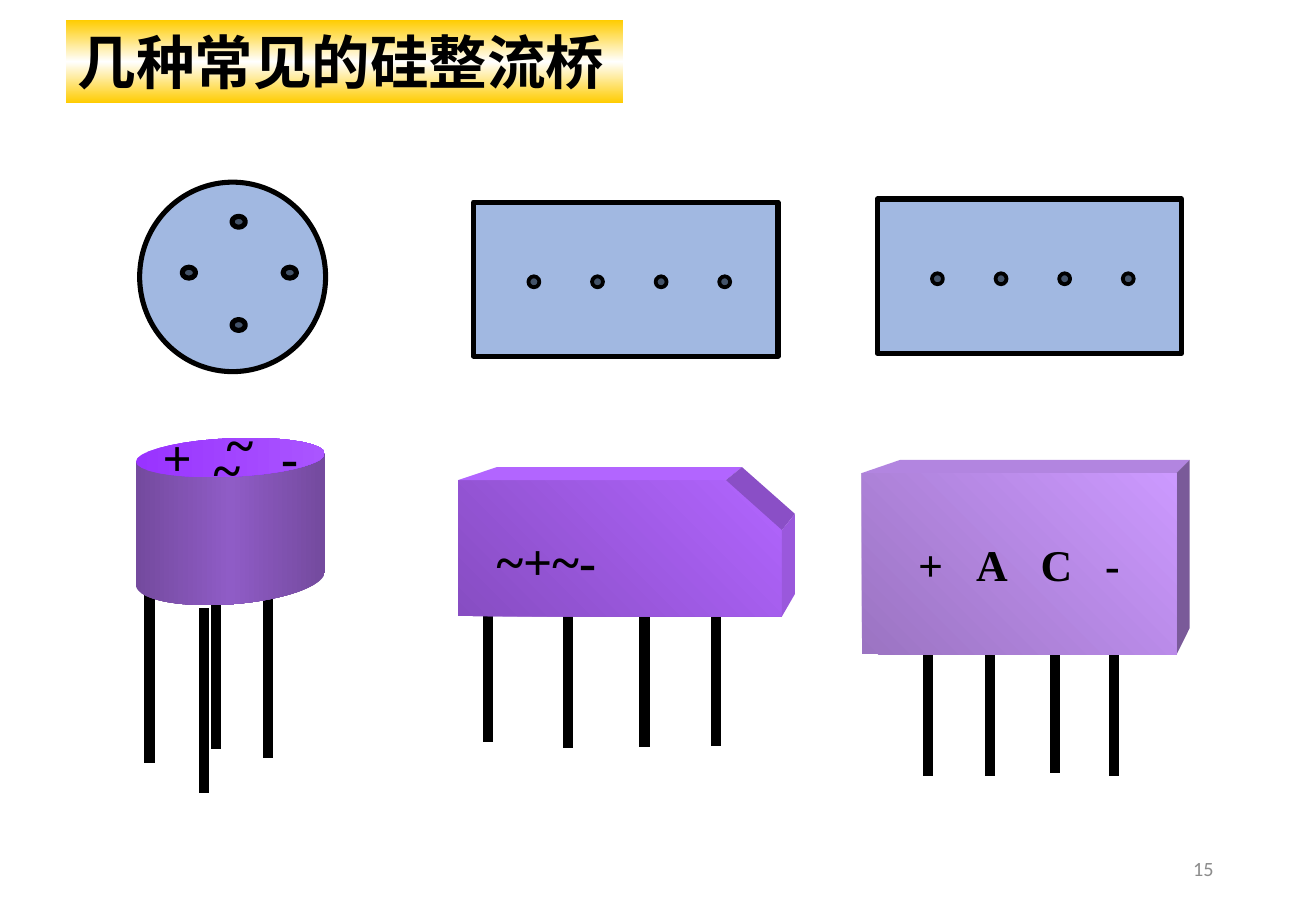
from copy import deepcopy
from dataclasses import dataclass
from math import cos, pi, sin

from lxml.etree import SubElement
from pptx import Presentation
from pptx.dml.color import RGBColor
from pptx.enum.shapes import MSO_CONNECTOR, MSO_SHAPE
from pptx.enum.text import MSO_ANCHOR, PP_ALIGN
from pptx.oxml.ns import qn
from pptx.util import Pt


@dataclass(frozen=True)
class Theme:
    ink: str = "000000"
    gray: str = "8C8C8C"
    case: str = "4472C4"
    pin: str = "44546A"
    gold: tuple = ("FFCC00", "FFFFFF", "FFCC00")
    lid: tuple = ("9933FF", "AA55FF")
    drum: tuple = ("744A9E", "8F5CC6", "744A9E")
    cut: tuple = ("874DC2", "B265FF")
    block: tuple = ("9B74C2", "CC99FF")
    cut_top: str = "B265FF"
    cut_edge: str = "8A4FC6"
    cut_side: str = "9A58DC"
    block_top: str = "B285E0"
    block_side: str = "7A5A99"
    serif: str = "Times New Roman"
    sans: str = "Calibri"
    title: float = 34.7
    mark: float = 30.3
    name: float = 26
    page: float = 12


T = Theme()


def paint(shape, fill, angle=0, alpha=None, line=0):
    """Fill with one colour, or with evenly spaced gradient stops."""
    shape.shadow.inherit = False
    if isinstance(fill, str):
        shape.fill.solid()
        shape.fill.fore_color.rgb = RGBColor.from_string(fill)
        if alpha:
            color = shape._element.spPr.find(".//" + qn("a:srgbClr"))
            SubElement(color, qn("a:alpha")).set("val", str(alpha * 1000))
    else:
        shape.fill.gradient()
        shape.fill.gradient_angle = angle
        stops = shape._element.spPr.find(".//" + qn("a:gsLst"))
        for _ in fill[2:]:
            stops.append(deepcopy(stops[-1]))
        for i, (stop, color) in enumerate(zip(shape.fill.gradient_stops, fill)):
            stop.color.rgb = RGBColor.from_string(color)
            stop.position = i / (len(fill) - 1)
    if line:
        shape.line.color.rgb = RGBColor.from_string(T.ink)
        shape.line.width = Pt(line)
    else:
        shape.line.fill.background()
    return shape


def form(slide, kind, box, fill, **look):
    return paint(slide.shapes.add_shape(kind, *map(Pt, box)), fill, **look)


def outline(slide, origin, points, fill, **look):
    x, y = origin
    spots = [(Pt(x + a), Pt(y + b)) for a, b in points]
    pen = slide.shapes.build_freeform(*spots[0], scale=1.0)
    pen.add_line_segments(spots[1:], close=True)
    return paint(pen.convert_to_shape(), fill, **look)


def area(slide, box):
    return slide.shapes.add_textbox(*map(Pt, box))


def write(shape, text, size=T.mark, font=T.serif, color=T.ink, bold=True,
          align=PP_ALIGN.LEFT, anchor=MSO_ANCHOR.MIDDLE, wrap=True,
          inset=7.2, spacing=None, indents=(), tabs=()):
    frame = shape.text_frame
    frame.word_wrap = wrap
    frame.vertical_anchor = anchor
    frame.margin_left = Pt(inset)
    for i, words in enumerate(text.split("\n")):
        para = frame.add_paragraph() if i else frame.paragraphs[0]
        para.alignment = align
        if spacing:
            para.line_spacing = spacing
        props = para._p.get_or_add_pPr()
        if indents and indents[i]:
            props.set("marL", str(Pt(indents[i])))
            props.set("indent", "0")
        if tabs and "\t" in words:
            stops = SubElement(props, qn("a:tabLst"))
            for pos in tabs:
                tab = SubElement(stops, qn("a:tab"))
                tab.set("pos", str(Pt(pos)))
                tab.set("algn", "l")
        run = para.add_run()
        run.text = words
        run.font.size, run.font.name, run.font.bold = Pt(size), font, bold
        run.font.color.rgb = RGBColor.from_string(color)


def leads(slide, origin, wires):
    """Draw upright wires, each given as x, top, bottom."""
    left, top = origin
    for x, start, end in wires:
        wire = slide.shapes.add_connector(
            MSO_CONNECTOR.STRAIGHT, Pt(left + x), Pt(top + start),
            Pt(left + x), Pt(top + end))
        wire.line.color.rgb = RGBColor.from_string(T.ink)
        wire.line.width = Pt(6)
        SubElement(wire._element.spPr, qn("a:effectLst"))


def heading(slide, box):
    bar = form(slide, MSO_SHAPE.RECTANGLE, box, T.gold, angle=270)
    write(bar, "几种常见的硅整流桥", size=T.title, wrap=False,
          anchor=MSO_ANCHOR.TOP)


def plan(slide, kind, box, pins, size, line):
    """Bottom view of a case with its pins."""
    x, y = box[:2]
    form(slide, kind, box, T.case, alpha=50, line=3)
    for a, b in pins:
        form(slide, MSO_SHAPE.OVAL, (x + a, y + b, *size), T.pin, line=line)


def arc(w, mid, rise, tilt, start, end):
    steps = 36
    turns = [start + (end - start) * i / steps for i in range(steps + 1)]
    return [(w / 2 * (1 - cos(t)), mid + rise * sin(t) + tilt * cos(t))
            for t in turns]


def drum(slide, box):
    x, y, w, h = box
    leads(slide, (x, y), [(78.5, 80, 189.5), (47.5, 93, 184.5),
                          (8, 83, 192.5), (40.3, 101, 210.5)])
    # Wall, then lid
    low = arc(w, h - 15.9, 15.4, 3.9, 0, pi)
    wall = [(0, 13.9), *low, (w, 9.2)]
    outline(slide, (x, y), wall, T.drum)
    outline(slide, (x, y), arc(w, 11.6, 11.4, 2.4, 0, 2 * pi), T.lid)
    write(area(slide, (x + 8.7, y + 3.2, 109.4, 34.6)), "~\n+\t-\n~",
          spacing=0.2, indents=(37.9, 0, 30.3), tabs=(70.3,))


def notched(slide, box):
    x, y, w, h = box
    leads(slide, (x, y), [(18, 60, 155.5), (65, 60, 158.7),
                          (110.5, 60, 158.3), (152.7, 60, 157.8)])
    # Front, top, slanted corner and side
    outline(slide, (x, y), [(0, 0), (0, h), (w, h), (w, 29.6), (158.8, 0)],
            T.cut, angle=45)
    outline(slide, (x, y), [(0, 0), (23.1, -7.7), (168.3, -7.7), (158.8, 0)],
            T.cut_top)
    outline(slide, (x, y), [(158.8, 0), (168.3, -7.7), (w + 7.7, 20.1),
                            (w, 29.6)], T.cut_edge)
    outline(slide, (x, y), [(w, 29.6), (w + 7.7, 20.1), (w + 7.7, 67.5),
                            (w, h)], T.cut_side)
    write(area(slide, (x + 15.8, y + 25.2, 165, 44)), "~+~-",
          align=PP_ALIGN.JUSTIFY)


def block(slide, box):
    x, y, w, h = box
    leads(slide, (x, y), [(39.2, 103, 179.5), (75.7, 103, 179.5),
                          (114.2, 103, 178), (149.5, 103, 179.5)])
    # Top, side and front
    outline(slide, (x, y), [(0, 0), (22.5, -7.7), (w + 7.7, -7.7), (w, 0)],
            T.block_top)
    outline(slide, (x, y), [(w, 0), (w + 7.7, -7.7), (w + 7.7, 91.9), (w, h)],
            T.block_side)
    front = form(slide, MSO_SHAPE.RECTANGLE, box, T.block, angle=45)
    write(front, "+\tA\tC\t-", size=T.name, inset=33.3,
          tabs=(34.3, 72.6, 110.9))


def main():
    deck = Presentation()
    deck.slide_width, deck.slide_height = Pt(780), Pt(540)
    slide = deck.slides.add_slide(deck.slide_layouts[6])
    heading(slide, (39.1, 12, 330.3, 49.2))
    # Bottom views
    plan(slide, MSO_SHAPE.OVAL, (82.8, 108, 110.2, 112.3),
         [(54.7, 20.2), (85, 50.4), (25.2, 50.4), (54.7, 81.4)], (7.9, 6.5), 3)
    row = [(32.4 + 37.7 * i, 44) for i in range(4)]
    for box in ((280.8, 119.8, 180.4, 91.4), (520, 118, 180.4, 91.4)):
        plan(slide, MSO_SHAPE.RECTANGLE, box, row, (6.5, 6.5), 2.25)
    # Solid views
    drum(slide, (80.6, 259.6, 112, 99.1))
    notched(slide, (271.5, 284.6, 192, 80.8))
    block(slide, (510.9, 280.4, 186.6, 107.4))
    # Page number
    write(area(slide, (550.8, 500.4, 175.7, 28.8)), "15", size=T.page,
          font=T.sans, color=T.gray, bold=False, align=PP_ALIGN.RIGHT)
    deck.save("out.pptx")


if __name__ == "__main__":
    main()
